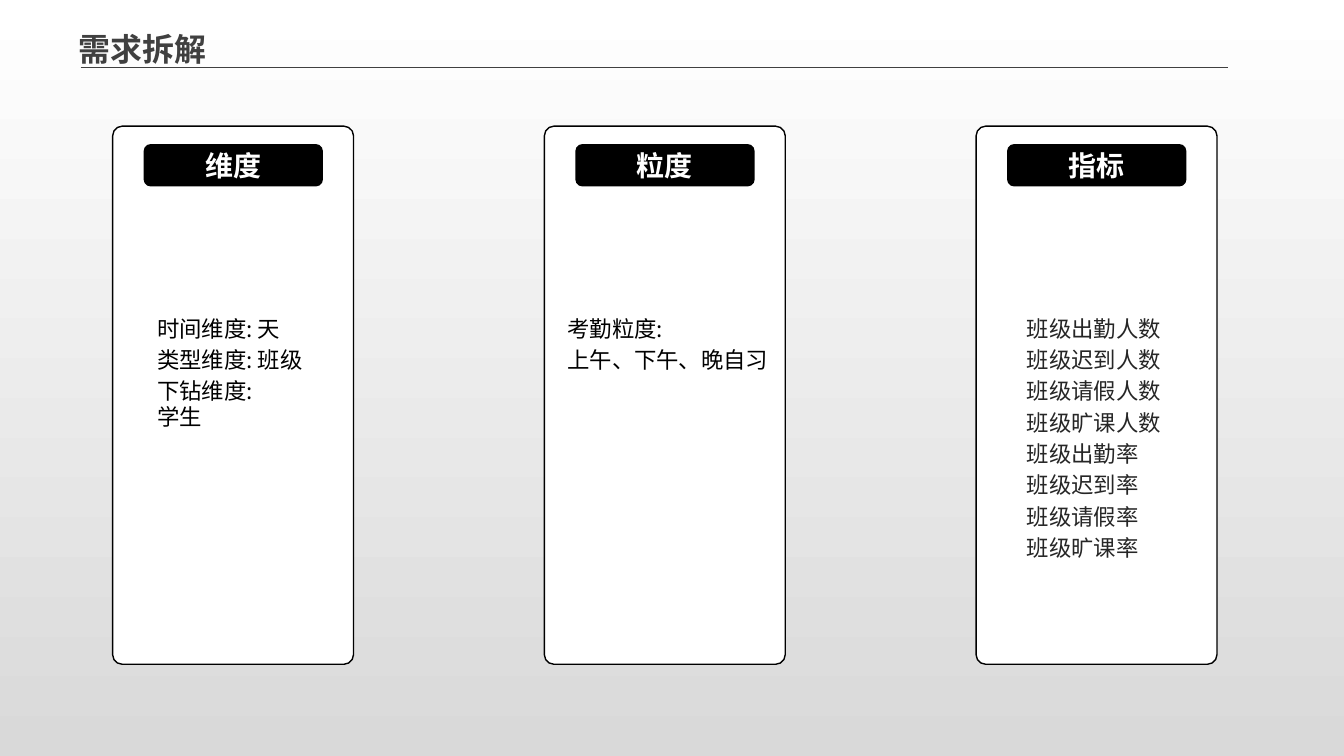
from pptx import Presentation
from pptx.dml.color import RGBColor
from pptx.enum.shapes import MSO_CONNECTOR, MSO_SHAPE
from pptx.enum.text import MSO_ANCHOR, PP_ALIGN
from pptx.oxml.ns import qn
from pptx.util import Cm, Pt
from lxml import etree

ROUND = MSO_SHAPE.ROUNDED_RECTANGLE
LINE = MSO_CONNECTOR.STRAIGHT
MIDDLE = MSO_ANCHOR.MIDDLE
CENTER = PP_ALIGN.CENTER
SANS = "Noto Sans CJK SC"


def color(code):
    return RGBColor.from_string(code)


def style(par, face, size, code, bold=False):
    for run in par.runs:
        run.font.size = Pt(size)
        run.font.bold = bold
        run.font.color.rgb = color(code)
        run.font.name = face
        etree.SubElement(run.font._element, qn("a:ea"), typeface=face)


deck = Presentation()
deck.slide_width, deck.slide_height = Cm(33.87), Cm(19.05)
slide = deck.slides.add_slide(deck.slide_layouts[6])
shapes = slide.shapes

back = slide.background.fill
back.gradient()
back.gradient_angle = 270
for stop, code in zip(back.gradient_stops, ["FFFFFF", "D9D9D9"]):
    stop.color.rgb = color(code)

columns = [
    ("维度", 3.63, 5.05, "000000",
     ["时间维度: 天", "类型维度: 班级", "下钻维度:\v学生"]),
    ("粒度", 13.97, 6.1, "000000",
     ["考勤粒度:", "上午、下午、晚自习"]),
    ("指标", 25.55, 4.85, "262626",
     ["班级出勤人数", "班级迟到人数", "班级请假人数", "班级旷课人数",
      "班级出勤率", "班级迟到率", "班级请假率", "班级旷课率"]),
]
for col, (head, left, width, ink, items) in enumerate(columns):
    x = 2.84 + col * 10.88
    card = shapes.add_shape(ROUND, Cm(x), Cm(3.18), Cm(6.07), Cm(13.56))
    card.shadow.inherit = False
    card.adjustments[0] = 0.04
    card.fill.solid()
    card.fill.fore_color.rgb = color("FFFFFF")
    card.line.color.rgb = color("000000")
    card.line.width = Pt(1)

    label = shapes.add_shape(ROUND, Cm(x + 0.78), Cm(3.63), Cm(4.52), Cm(1.07))
    label.shadow.inherit = False
    label.fill.solid()
    label.fill.fore_color.rgb = color("000000")
    label.line.fill.background()
    frame = label.text_frame
    frame.text = head
    frame.vertical_anchor = MIDDLE
    frame.paragraphs[0].alignment = CENTER
    style(frame.paragraphs[0], SANS, 20, "FFFFFF", True)

    body = shapes.add_textbox(Cm(left), Cm(7.77), Cm(width), Cm(2.67))
    frame = body.text_frame
    frame.word_wrap = True
    frame.margin_left = frame.margin_right = Cm(0.33)
    frame.margin_top = frame.margin_bottom = Cm(0.18)
    frame.text = "\n".join(items)
    for row, par in enumerate(frame.paragraphs):
        par.line_spacing = Pt(18.6)
        if row:
            par.space_before = Pt(3.8)
        style(par, SANS, 16, ink)

rule = shapes.add_connector(LINE, Cm(2.03), Cm(1.7), Cm(30.94), Cm(1.7))
rule.line.color.rgb = color("404040")
rule.line.width = Pt(0.5)
etree.SubElement(rule._element.spPr, qn("a:effectLst"))

title = shapes.add_textbox(Cm(0.25), Cm(0.74), Cm(6.68), Cm(0.97))
frame = title.text_frame
frame.word_wrap = True
frame.margin_left = frame.margin_right = 0
frame.margin_top = frame.margin_bottom = 0
frame.text = "需求拆解"
frame.paragraphs[0].alignment = CENTER
style(frame.paragraphs[0], "Arial", 22.8, "404040", True)

deck.save("out.pptx")
